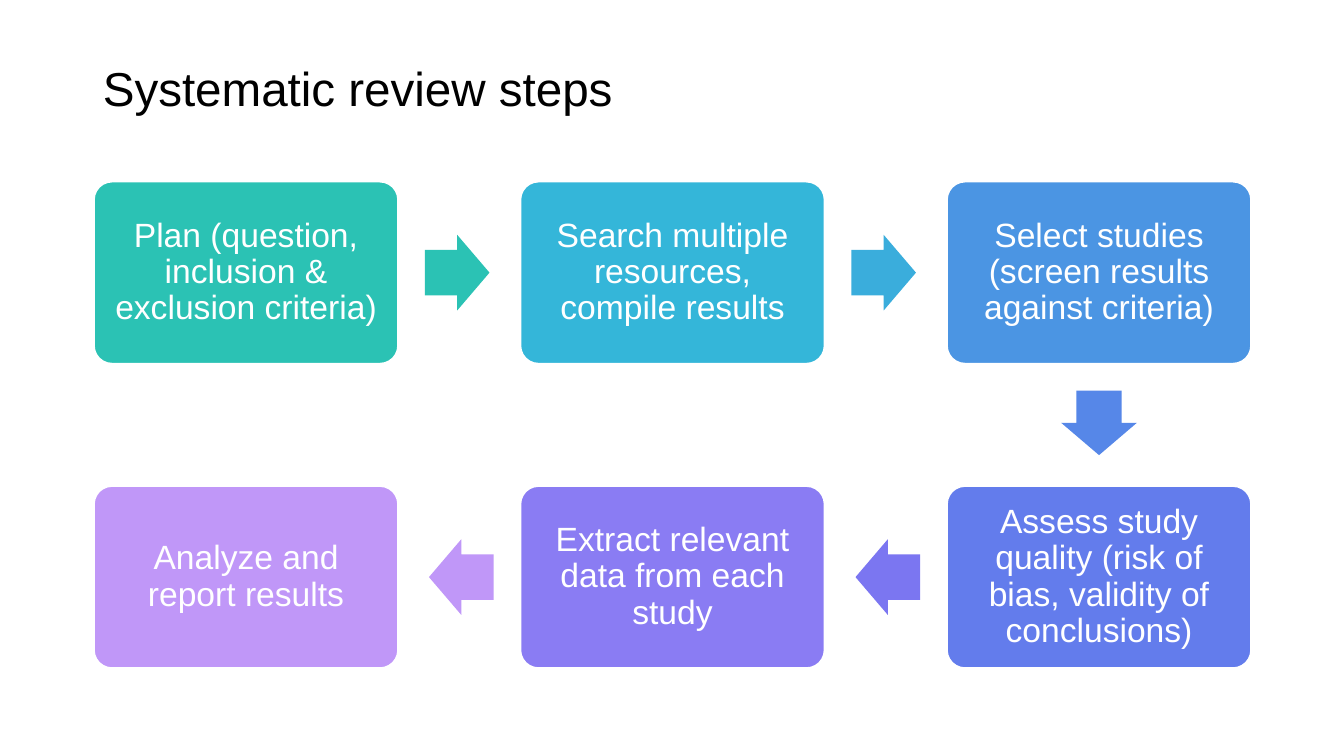
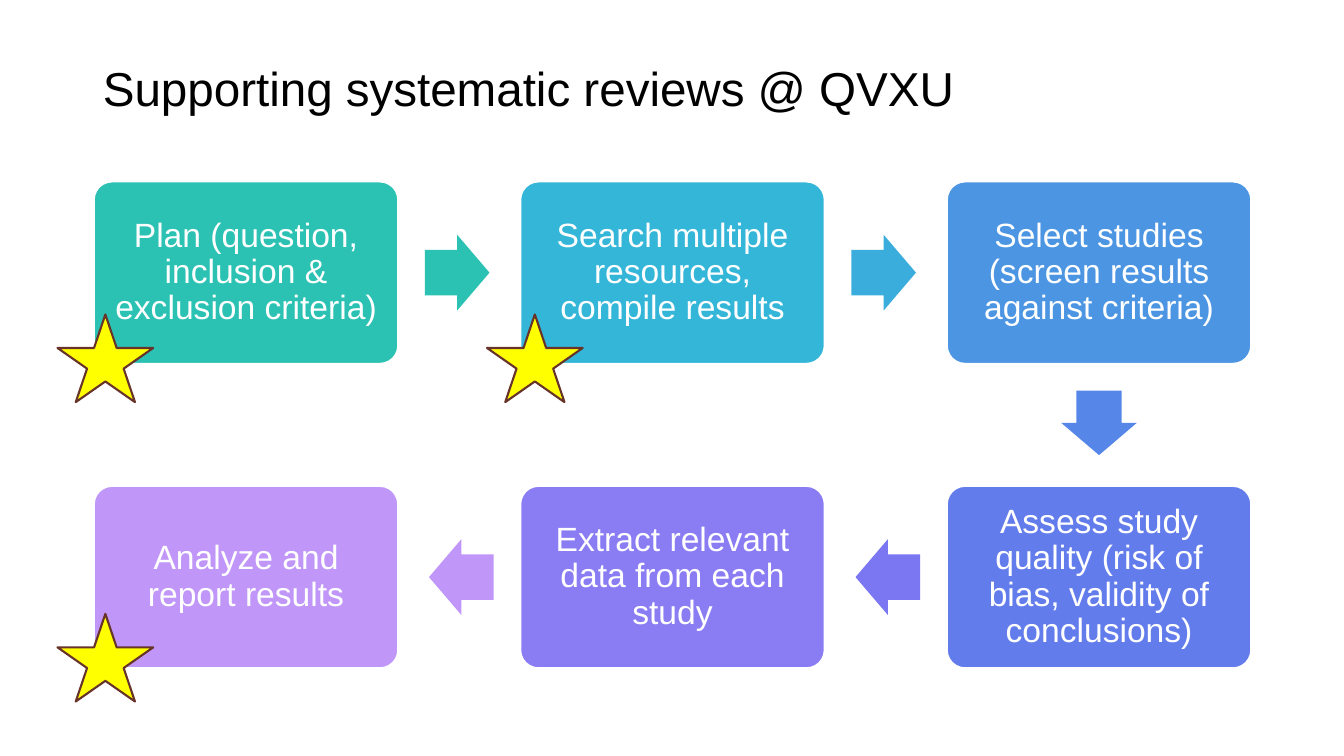
from itertools import pairwise

from pptx import Presentation
from pptx.dml.color import RGBColor
from pptx.enum.shapes import MSO_SHAPE
from pptx.enum.text import MSO_ANCHOR, MSO_AUTO_SIZE, PP_ALIGN
from pptx.util import Pt

PX = 9144  # 100 px to the inch
FONT = "Arial"
WHITE, BLACK = "FFFFFF", "000000"
YELLOW, BROWN = "FFFF00", "68342A"

COLS = 3
LEFT, TOP = 93, 180
BOX_W, BOX_H = 302, 181
STEP_X, STEP_Y = 423, 302
ARROW_W, ARROW_H = 64, 75
BACK = 2  # arrows sit slightly nearer the box they leave
STAR_W, STAR_H = 95, 87

STEPS = [
    ("Plan (question, inclusion & exclusion criteria)", "2BC2B4"),
    ("Search multiple resources, compile results", "34B6D9"),
    ("Select studies (screen results against criteria)", "4B95E3"),
    ("Assess study quality (risk of bias, validity of conclusions)", "637CEC"),
    ("Extract relevant data from each study", "8A7CF3"),
    ("Analyze and report results", "C097F8"),
]
ARROWS = ["2BC2B4", "3AADDC", "5687E8", "7B76F1", "C097F8"]
STARS = [(57, 312), (483, 312), (57, 609)]


def px(n):
    return round(n * PX)


def rgb(code):
    return RGBColor.from_string(code)


def write(frame, text, size, color, align):
    frame.word_wrap = True
    frame.auto_size = MSO_AUTO_SIZE.NONE
    frame.vertical_anchor = MSO_ANCHOR.MIDDLE
    para = frame.paragraphs[0]
    para.alignment = align
    para.line_spacing = 0.9
    run = para.add_run()
    run.text = text
    run.font.name = FONT
    run.font.size = Pt(size)
    run.font.color.rgb = rgb(color)


def add_title(slide, text):
    title = slide.shapes.title
    title.left, title.top = px(92), px(33)
    title.width, title.height = px(1150), px(114)
    write(title.text_frame, text, 34, BLACK, PP_ALIGN.LEFT)


def add_shape(slide, kind, x, y, w, h, fill, line=None):
    shape = slide.shapes.add_shape(kind, px(x), px(y), px(w), px(h))
    shape.shadow.inherit = False
    shape.fill.solid()
    shape.fill.fore_color.rgb = rgb(fill)
    if line:
        shape.line.color.rgb = rgb(line)
        shape.line.width = Pt(1.5)
    else:
        shape.line.fill.background()
    return shape


def add_box(slide, x, y, text, fill):
    box = add_shape(slide, MSO_SHAPE.ROUNDED_RECTANGLE,
                    x, y, BOX_W, BOX_H, fill, WHITE)
    box.adjustments[0] = 0.1
    frame = box.text_frame
    frame.margin_left = frame.margin_right = px(10)
    frame.margin_top = frame.margin_bottom = px(10)
    write(frame, text, 24, WHITE, PP_ALIGN.CENTER)


def add_arrow(slide, start, end, fill):
    """Put a block arrow in the gap between two box corners, start to end."""
    dx = (end[0] - start[0]) // STEP_X
    dy = (end[1] - start[1]) // STEP_Y
    mid_x = (start[0] + end[0] + BOX_W) / 2 - BACK * dx
    mid_y = (start[1] + end[1] + BOX_H) / 2 - BACK * dy
    arrow = add_shape(slide, MSO_SHAPE.RIGHT_ARROW, mid_x - ARROW_W / 2,
                      mid_y - ARROW_H / 2, ARROW_W, ARROW_H, fill)
    arrow.adjustments[0] = 0.6
    arrow.adjustments[1] = 0.5
    arrow.rotation = 90 if dy else 90 * (1 - dx)


def place(index):
    """Corner of a box; the second row runs back from right to left."""
    row, col = divmod(index, COLS)
    if row % 2:
        col = COLS - 1 - col
    return LEFT + col * STEP_X, TOP + row * STEP_Y


def add_flow(slide):
    spots = [place(i) for i in range(len(STEPS))]
    for spot, (text, fill) in zip(spots, STEPS):
        add_box(slide, *spot, text, fill)
    for (start, end), fill in zip(pairwise(spots), ARROWS):
        add_arrow(slide, start, end, fill)


def add_slide(deck, title, stars=()):
    slide = deck.slides.add_slide(deck.slide_layouts[5])
    add_title(slide, title)
    add_flow(slide)
    for x, y in stars:
        add_shape(slide, MSO_SHAPE.STAR_5_POINT,
                  x, y, STAR_W, STAR_H, YELLOW, BROWN)


def main():
    deck = Presentation()
    deck.slide_width, deck.slide_height = px(1333), px(750)
    add_slide(deck, "Systematic review steps")
    add_slide(deck, "Supporting systematic reviews @ QVXU", STARS)
    deck.save("out.pptx")


if __name__ == "__main__":
    main()
